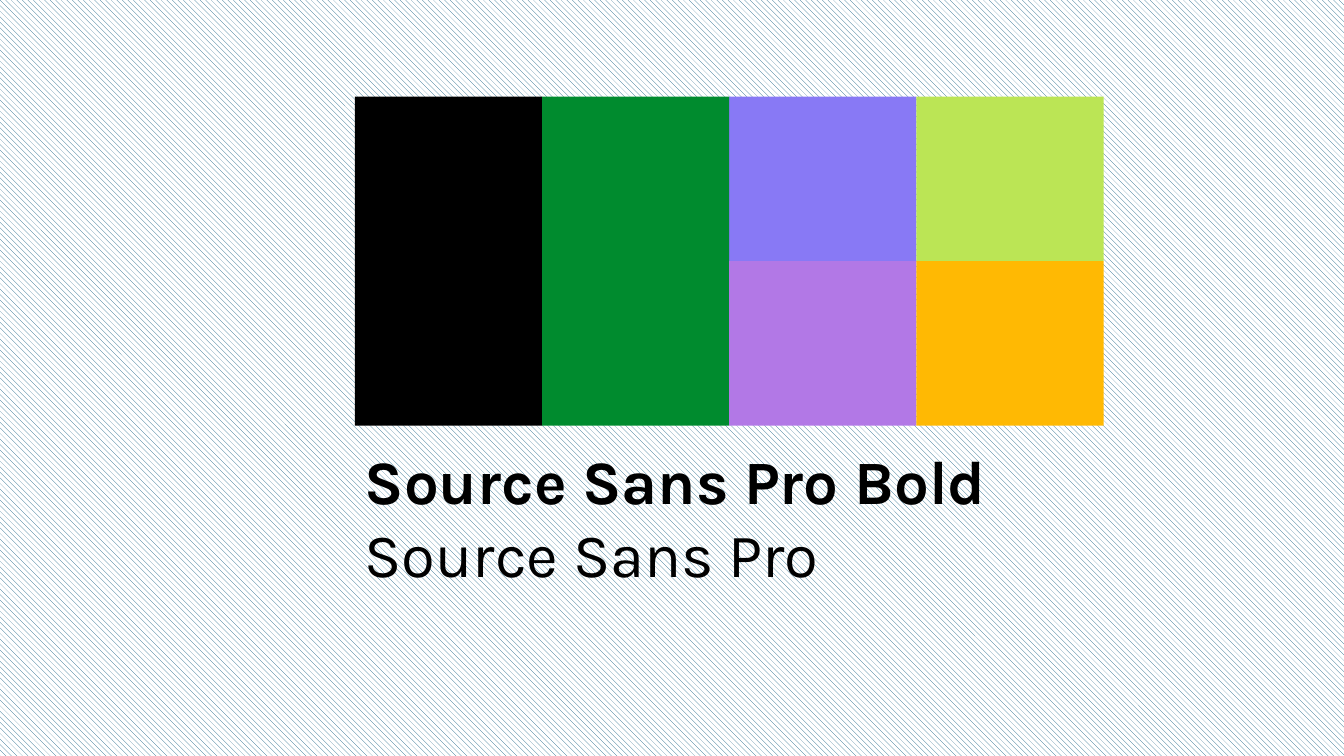
from pptx import Presentation
from pptx.dml.color import RGBColor
from pptx.enum.dml import MSO_PATTERN
from pptx.enum.shapes import MSO_SHAPE
from pptx.enum.text import MSO_AUTO_SIZE
from pptx.util import Pt

COLORS = {
    "black": "000000",
    "green": "008B2E",
    "violet": "8879F5",
    "orchid": "B278E6",
    "lime": "BBE555",
    "amber": "FFB903",
    "stripe": "156082",
    "white": "FFFFFF",
}
LEFT, TOP = 253.5, 69
COL_W, ROW_H = 133.7, 117.5


def rgb(name):
    return RGBColor.from_string(COLORS[name])


def add_text(p, text, size=44, font="Karla", color="black", bold=False):
    r = p.add_run()
    r.text = text
    r.font.size = Pt(size)
    r.font.name = font
    r.font.bold = bold
    r.font.color.rgb = rgb(color)


prs = Presentation()
prs.slide_width, prs.slide_height = Pt(960), Pt(540)
s = prs.slides.add_slide(prs.slide_layouts[6])

fill = s.background.fill
fill.patterned()
fill.pattern = MSO_PATTERN.WIDE_DOWNWARD_DIAGONAL
fill.fore_color.rgb = rgb("stripe")
fill.back_color.rgb = rgb("white")

swatches = [
    ("violet", 2, 0, 1),
    ("black", 0, 0, 2),
    ("green", 1, 0, 2),
    ("orchid", 2, 1, 1),
    ("lime", 3, 0, 1),
    ("amber", 3, 1, 1),
]
palette = s.shapes.add_group_shape()
for color, col, row, rows in swatches:
    sp = palette.shapes.add_shape(
        MSO_SHAPE.RECTANGLE,
        Pt(LEFT + col * COL_W), Pt(TOP + row * ROW_H),
        Pt(COL_W), Pt(rows * ROW_H))
    sp.shadow.inherit = False
    sp.fill.solid()
    sp.fill.fore_color.rgb = rgb(color)
    sp.line.fill.background()

tf = s.shapes.add_textbox(Pt(LEFT), Pt(312.5), Pt(522.7), Pt(113.8)).text_frame
tf.word_wrap = True
tf.auto_size = MSO_AUTO_SIZE.SHAPE_TO_FIT_TEXT
add_text(tf.paragraphs[0], "Source Sans Pro Bold", bold=True)
add_text(tf.add_paragraph(), "Source Sans Pro")

prs.save("out.pptx")
